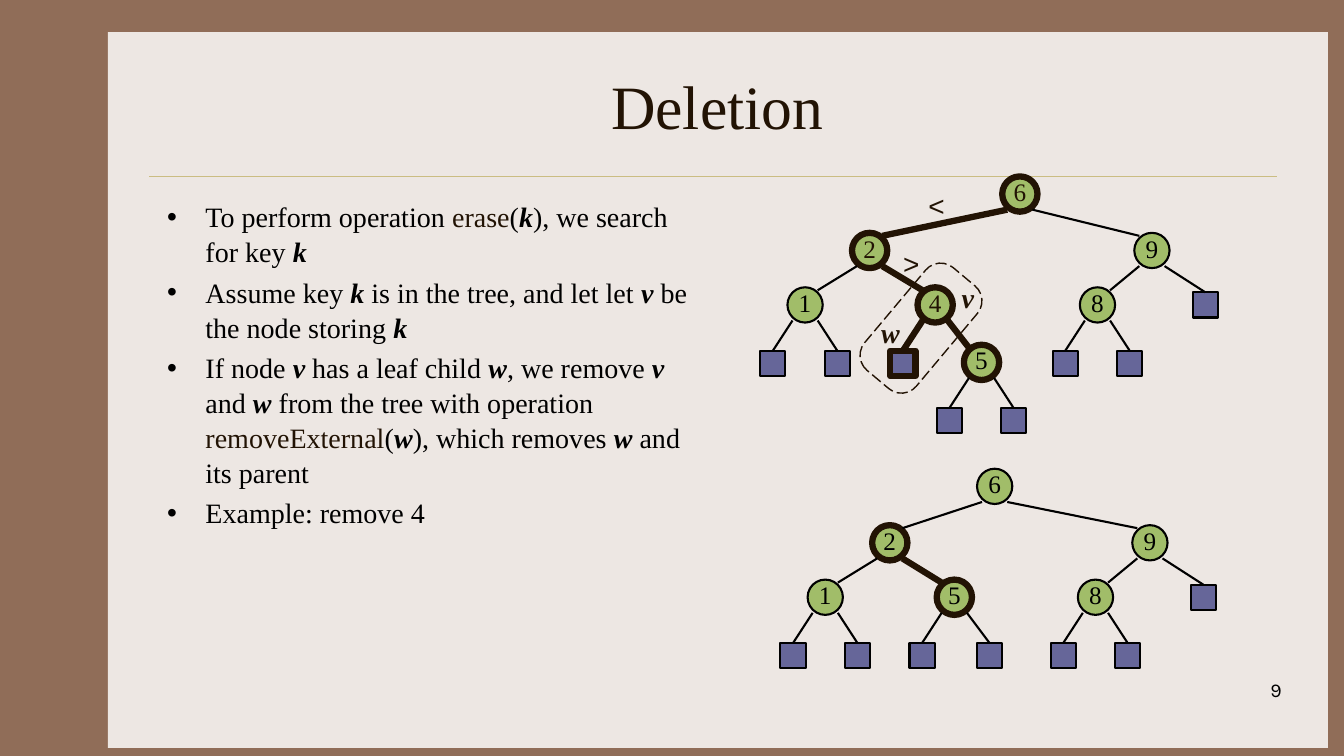
from dataclasses import dataclass

from lxml.etree import SubElement
from pptx import Presentation
from pptx.dml.color import RGBColor as Rgb
from pptx.enum.dml import MSO_LINE_DASH_STYLE as Dash
from pptx.enum.shapes import MSO_CONNECTOR as Connector, MSO_SHAPE as Preset
from pptx.enum.text import MSO_ANCHOR as Anchor, MSO_AUTO_SIZE as AutoSize, PP_ALIGN as Align
from pptx.oxml.ns import qn
from pptx.util import Inches, Pt


@dataclass(frozen=True)
class Theme:
    frame: str = "906D58"
    panel: str = "EDE7E3"
    rule: str = "CBBD83"
    ink: str = "000000"
    accent: str = "221304"
    node: str = "A1BD69"
    leaf: str = "666699"
    serif: str = "Times New Roman"
    sans: str = "Arial"
    number_face: str = "Karla"
    title: int = 44
    body: int = 20
    key: int = 18
    number: int = 14
    hairline: float = 0.25
    dash: float = 1
    thin: float = 1.5
    thick: float = 4.5


@dataclass(frozen=True)
class Node:
    key: int
    left: float
    top: float
    parent: int = 0
    leaves: tuple = ()


NODE_SIZE, LEAF_SIZE = 0.35, 0.25
PAIR = ((-0.27, 0.63), (0.37, 0.63))
RIGHT_ONLY = ((0.58, 0.59),)

BEFORE = (
    Node(6, 9.94, 1.75),
    Node(9, 11.25, 2.31, 6, RIGHT_ONLY),
    Node(2, 8.45, 2.31, 6),
    Node(4, 9.1, 2.85, 2, PAIR[:1]),
    Node(1, 7.81, 2.85, 2, PAIR),
    Node(8, 10.71, 2.85, 9, PAIR),
    Node(5, 9.56, 3.42, 4, PAIR),
)
AFTER = (
    Node(6, 9.69, 4.65),
    Node(9, 11.23, 5.21, 6, RIGHT_ONLY),
    Node(2, 8.65, 5.21, 6),
    Node(5, 9.29, 5.75, 2, ((-0.27, 0.63), (0.4, 0.63))),
    Node(1, 8.01, 5.75, 2, PAIR),
    Node(8, 10.69, 5.75, 9, PAIR),
)

# In the bullets, *...* is bold italic and ~...~ takes the accent colour.
BULLETS = (
    "To perform operation ~erase~(*k*), we search for key *k*",
    "Assume key *k* is in the tree, and let let *v* be the node storing *k*",
    "If node *v* has a leaf child *w*, we remove *v* and *w* from the tree with "
    "operation ~removeExternal~(*w*), which removes *w* and its parent",
    "Example: remove 4",
)


def assign(target, values):
    for name, value in values.items():
        setattr(target, name, value)


def box(*lengths):
    return [Inches(length) for length in lengths]


class TreeSlide:
    def __init__(self, deck, theme):
        self.theme = theme
        self.slide = deck.slides.add_slide(deck.slide_layouts[5])
        self.shapes = self.slide.shapes
        backdrop = self.slide.background.fill
        backdrop.solid()
        backdrop.fore_color.rgb = Rgb.from_string(theme.frame)

    def run(self, paragraph, text, size, color, face=None, **style):
        run = paragraph.add_run()
        run.text = text
        assign(run.font, dict(size=Pt(size), name=face or self.theme.serif, **style))
        run.font.color.rgb = Rgb.from_string(color)

    def stroke(self, line, color, width):
        line.color.rgb = Rgb.from_string(color)
        line.width = Pt(width)

    def shape(self, preset, place, fill=None, color=None, width=0):
        shape = self.shapes.add_shape(preset, *box(*place))
        shape.shadow.inherit = False
        if fill:
            shape.fill.solid()
            shape.fill.fore_color.rgb = Rgb.from_string(fill)
        else:
            shape.fill.background()
        if color:
            self.stroke(shape.line, color, width)
        else:
            shape.line.fill.background()
        return shape

    def line(self, start, end, color, width):
        line = self.shapes.add_connector(Connector.STRAIGHT, *box(*start, *end))
        self.stroke(line.line, color, width)
        SubElement(line.element.spPr, qn("a:effectLst"))
        return line

    def title(self, text, place):
        heading = self.shapes.title
        self.shapes.element.append(heading.element)
        assign(heading, dict(zip(("left", "top", "width", "height"), box(*place))))
        heading.text_frame.vertical_anchor = Anchor.MIDDLE
        paragraph = heading.text_frame.paragraphs[0]
        paragraph.alignment = Align.CENTER
        self.run(paragraph, text, self.theme.title, self.theme.accent)

    def bullets(self, items, place):
        frame = self.shapes.add_textbox(*box(*place)).text_frame
        frame.word_wrap = True
        for index, item in enumerate(items):
            paragraph = frame.add_paragraph() if index else frame.paragraphs[0]
            assign(paragraph, dict(space_before=Pt(4), line_spacing=1.04))
            properties = paragraph._p.get_or_add_pPr()
            properties.set("marL", str(Inches(0.38)))
            properties.set("indent", str(-Inches(0.38)))
            SubElement(properties, qn("a:buFont")).set("typeface", self.theme.sans)
            SubElement(properties, qn("a:buChar")).set("char", "•")
            for part_index, part in enumerate(item.split("*")):
                variable = part_index % 2 == 1
                for piece_index, piece in enumerate(part.split("~")):
                    if piece:
                        color = self.theme.accent if piece_index % 2 else self.theme.ink
                        self.run(paragraph, piece, self.theme.body, color,
                                 bold=variable, italic=variable)

    def label(self, text, place, face, **style):
        frame = self.shapes.add_textbox(*box(*place)).text_frame
        assign(frame, dict(word_wrap=False, auto_size=AutoSize.SHAPE_TO_FIT_TEXT))
        self.run(frame.paragraphs[0], text, self.theme.body, self.theme.accent, face, **style)

    def page_number(self, text, place):
        frame = self.shapes.add_textbox(*box(*place)).text_frame
        frame.word_wrap = True
        frame.paragraphs[0].alignment = Align.RIGHT
        self.run(frame.paragraphs[0], text, self.theme.number, self.theme.ink,
                 self.theme.number_face)

    def pen(self, marked):
        theme = self.theme
        return (theme.accent, theme.thick) if marked else (theme.ink, theme.thin)

    def node(self, node, marked, color):
        circle = self.shape(Preset.OVAL, (node.left, node.top, NODE_SIZE, NODE_SIZE),
                            self.theme.node, *self.pen(marked))
        assign(circle.text_frame, dict(
            margin_left=0, margin_right=0, margin_top=0, margin_bottom=Inches(0.05),
            word_wrap=False, vertical_anchor=Anchor.MIDDLE))
        circle.text_frame.paragraphs[0].alignment = Align.CENTER
        self.run(circle.text_frame.paragraphs[0], str(node.key), self.theme.key, color)

    def tree(self, nodes, path, accented=(), removed=None):
        by_key = {node.key: node for node in nodes}
        for node in nodes:
            color = self.theme.accent if node.key in accented else self.theme.ink
            self.node(node, node.key in path, color)
        for node in nodes:
            if node.parent:
                parent = by_key[node.parent]
                near, far = (0.05, 0.3) if node.left < parent.left else (0.3, 0.05)
                self.line((parent.left + near, parent.top + 0.33),
                          (node.left + far, node.top + 0.03),
                          *self.pen({node.key, parent.key} <= path))
            for across, down in node.leaves:
                left, top = node.left + across, node.top + down
                pen = self.pen(node.key == removed)
                leaf = self.shape(Preset.RECTANGLE, (left, top, LEAF_SIZE, LEAF_SIZE),
                                  self.theme.leaf, *pen)
                start = (node.left + (0.05 if across < 0 else 0.3), node.top + 0.33)
                branch = self.line(start, (left + LEAF_SIZE / 2, top), *pen)
                branch.end_connect(leaf, 0)

    def removal_outline(self, place):
        outline = self.shape(Preset.ROUNDED_RECTANGLE, place, None,
                             self.theme.accent, self.theme.dash)
        outline.adjustments[0] = 0.29
        outline.rotation = 310
        outline.line.dash_style = Dash.LONG_DASH


def main():
    deck = Presentation()
    assign(deck, dict(slide_width=Inches(13.33), slide_height=Inches(7.5)))
    theme = Theme()
    page = TreeSlide(deck, theme)
    page.shape(Preset.RECTANGLE, (1.07, 0.32, 12.1, 7.1), theme.panel)
    page.line((1.48, 1.75), (12.67, 1.75), theme.rule, theme.hairline)
    page.title("Deletion", (1.56, 0.42, 11.11, 1.25))
    page.bullets(BULLETS, (1.56, 1.92, 5.44, 4.5))
    page.page_number("9", (10.03, 6.68, 2.78, 0.5))
    page.tree(BEFORE, {6, 2, 4, 5}, accented={6, 2, 4}, removed=4)
    page.tree(AFTER, {2, 5})
    page.label("v", (9.44, 2.73, 0.32, 0.43), theme.serif, bold=True, italic=True)
    page.label("w", (8.64, 3.08, 0.39, 0.43), theme.serif, bold=True, italic=True)
    page.label("<", (9.11, 1.82, 0.35, 0.43), theme.sans)
    page.label(">", (8.86, 2.4, 0.35, 0.43), theme.sans)
    page.removal_outline((8.47, 2.92, 1.33, 0.67))
    deck.save("out.pptx")


if __name__ == "__main__":
    main()
